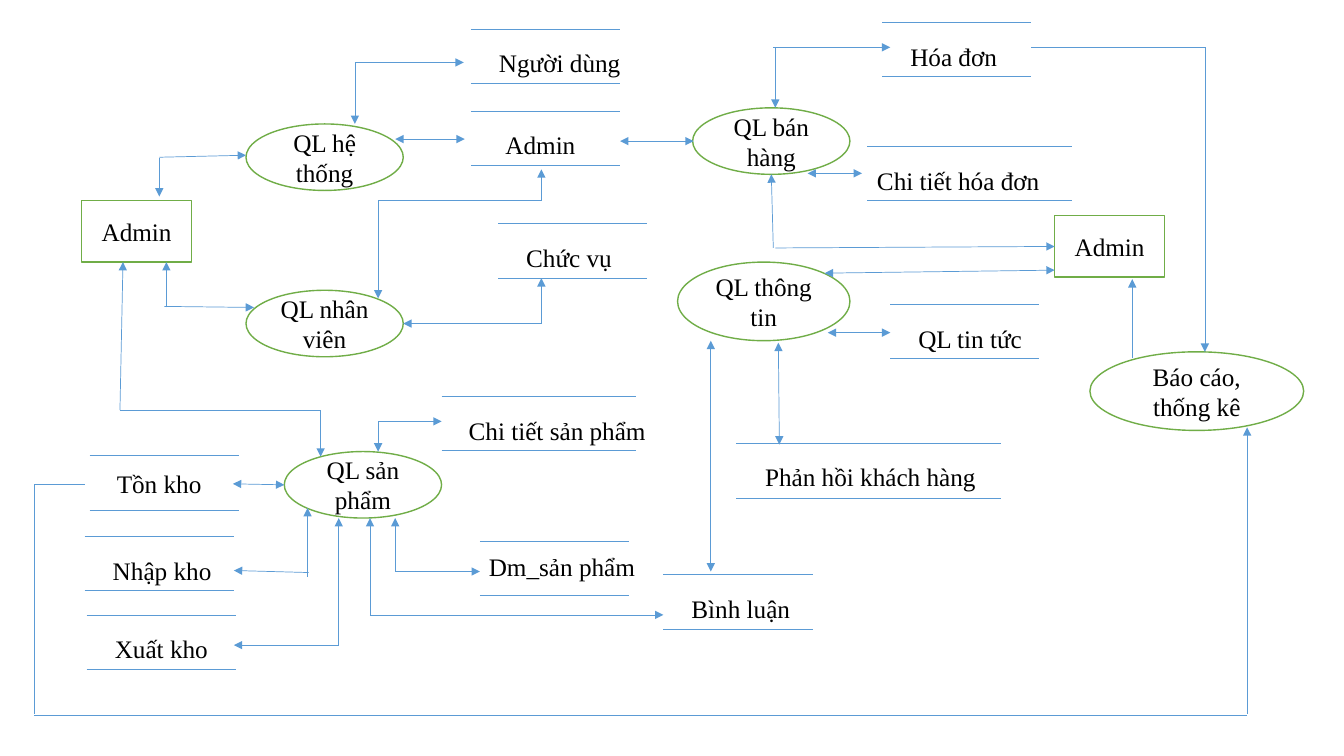
from lxml.etree import SubElement
from pptx import Presentation as Deck
from pptx.dml.color import RGBColor as Rgb
from pptx.enum.shapes import MSO_CONNECTOR as Conn, MSO_SHAPE as Form
from pptx.enum.text import MSO_ANCHOR as Anchor, MSO_AUTO_SIZE as Fit, PP_ALIGN as Align
from pptx.oxml.ns import qn
from pptx.util import Pt

SCALE = 9144
GAP = 54


def px(*nums):
    return [num * SCALE for num in nums]


def hue(code):
    return Rgb.from_string(code)


def apply(thing, form):
    for key, value in form.items():
        setattr(thing, key, value)


class Chart:
    font = {"name": "Times New Roman", "size": Pt(18)}
    frame = {"word_wrap": True, "vertical_anchor": Anchor.MIDDLE}
    label = {"word_wrap": True, "auto_size": Fit.SHAPE_TO_FIT_TEXT}
    ink, paper, edge, wire = "000000", "FFFFFF", "70AD47", "5B9BD5"

    def __init__(self, slide):
        self.slide = slide
        self.shapes = slide.shapes

    def letter(self, box, text, form, align):
        frame = box.text_frame
        apply(frame, form)
        para = frame.paragraphs[0]
        para.alignment = align
        run = para.add_run()
        run.text = text
        apply(run.font, self.font)
        run.font.color.rgb = hue(self.ink)

    def node(self, form, text, *place):
        box = self.shapes.add_shape(form, *px(*place))
        box.shadow.inherit = False
        box.fill.solid()
        box.fill.fore_color.rgb = hue(self.paper)
        box.line.color.rgb = hue(self.edge)
        box.line.width = Pt(1)
        self.letter(box, text, self.frame, Align.CENTER)
        return box

    def line(self, ends, heads=()):
        link = self.shapes.add_connector(Conn.STRAIGHT, *px(*ends))
        link.line.color.rgb = hue(self.wire)
        link.line.width = Pt(0.5)
        props = link._element.spPr
        for head in heads:
            SubElement(props.find(qn("a:ln")), qn(head), type="triangle")
        SubElement(props, qn("a:effectLst"))
        return link

    def store(self, text, left, top, width, room, shift=18, drop=14, align=Align.LEFT):
        for y in (top, top + GAP):
            self.line((left, y, left + width, y))
        box = self.shapes.add_textbox(*px(left + shift, top + drop, room, 40))
        self.letter(box, text, self.label, align)


OVALS = [
    ("QL hệ thống", 244, 123, 156, 66),
    ("QL nhân viên", 244, 288, 156, 66),
    ("QL sản phẩm", 282, 448, 156, 66),
    ("QL bán hàng", 687, 107, 156, 66),
    ("QL thông tin", 672, 260, 171, 78),
    ("Báo cáo, thống kê", 1081, 349, 212, 78),
]

STORES = [
    ("Người dùng", 467, 29, 148, 178, 18, 13),
    ("Admin", 467, 110, 148, 104, 17, 13, Align.CENTER),
    ("Chức vụ", 494, 222, 148, 150),
    ("Tồn kho", 89, 452, 148, 125, 17, 8),
    ("Nhập kho", 84, 532, 148, 130),
    ("Xuất kho", 86, 610, 148, 112, 18, 13),
    ("Dm_sản phẩm", 476, 537, 148, 180, -1, 5),
    ("Chi tiết sản phẩm", 438, 393, 193, 220, 17),
    ("Hóa đơn", 875, 22, 148, 136),
    ("Chi tiết hóa đơn", 860, 145, 203, 187, 0),
    ("QL tin tức", 883, 302, 148, 146),
    ("Phản hồi khách hàng", 730, 440, 263, 234, 19, 13),
    ("Bình luận", 658, 570, 148, 167),
]

PLAIN = [
    (375, 199, 537, 199), (318, 407, 119, 407), (84, 481, 34, 481),
    (34, 481, 34, 708), (34, 710, 1237, 710), (1023, 47, 1195, 47),
]

ARROWS = [
    (158, 156, 244, 154), (158, 157, 158, 195),
    (352, 62, 352, 123), (352, 62, 460, 62),
    (375, 199, 375, 296), (537, 199, 537, 168),
    (537, 321, 537, 276), (537, 321, 400, 321),
    (163, 304, 252, 305), (165, 305, 165, 260),
    (306, 568, 232, 566), (305, 572, 305, 504),
    (336, 640, 232, 640), (336, 640, 336, 514),
    (375, 418, 438, 418), (375, 418, 375, 448),
    (392, 567, 476, 567), (392, 567, 392, 514),
    (367, 610, 658, 610), (367, 610, 367, 514),
    (767, 47, 883, 47), (769, 47, 769, 107),
    (318, 407, 318, 453), (119, 407, 122, 260),
    (767, 246, 765, 173), (1237, 708, 1237, 424),
    (1195, 47, 1195, 349), (1123, 355, 1123, 277),
]

DOUBLES = [
    (392, 138, 461, 138), (615, 140, 688, 140), (821, 330, 883, 330),
    (772, 340, 773, 441), (705, 338, 705, 567), (231, 480, 282, 481),
    (801, 172, 855, 172), (818, 271, 1046, 268),
]


def main():
    deck = Deck()
    deck.slide_width, deck.slide_height = px(1333, 750)
    chart = Chart(deck.slides.add_slide(deck.slide_layouts[6]))
    for oval in OVALS:
        chart.node(Form.OVAL, *oval)
    chart.node(Form.RECTANGLE, "Admin", 81, 199, 109, 61)
    desk = chart.node(Form.RECTANGLE, "Admin", 1046, 214, 109, 61)
    for store in STORES:
        chart.store(*store)
    tail = ("a:tailEnd",)
    both = ("a:headEnd", "a:tailEnd")
    for group, heads in ((PLAIN, ()), (ARROWS, tail), (DOUBLES, both)):
        for ends in group:
            chart.line(ends, heads)
    chart.line((769, 246, 1046, 244), tail).end_connect(desk, 1)
    deck.save("out.pptx")


if __name__ == "__main__":
    main()
